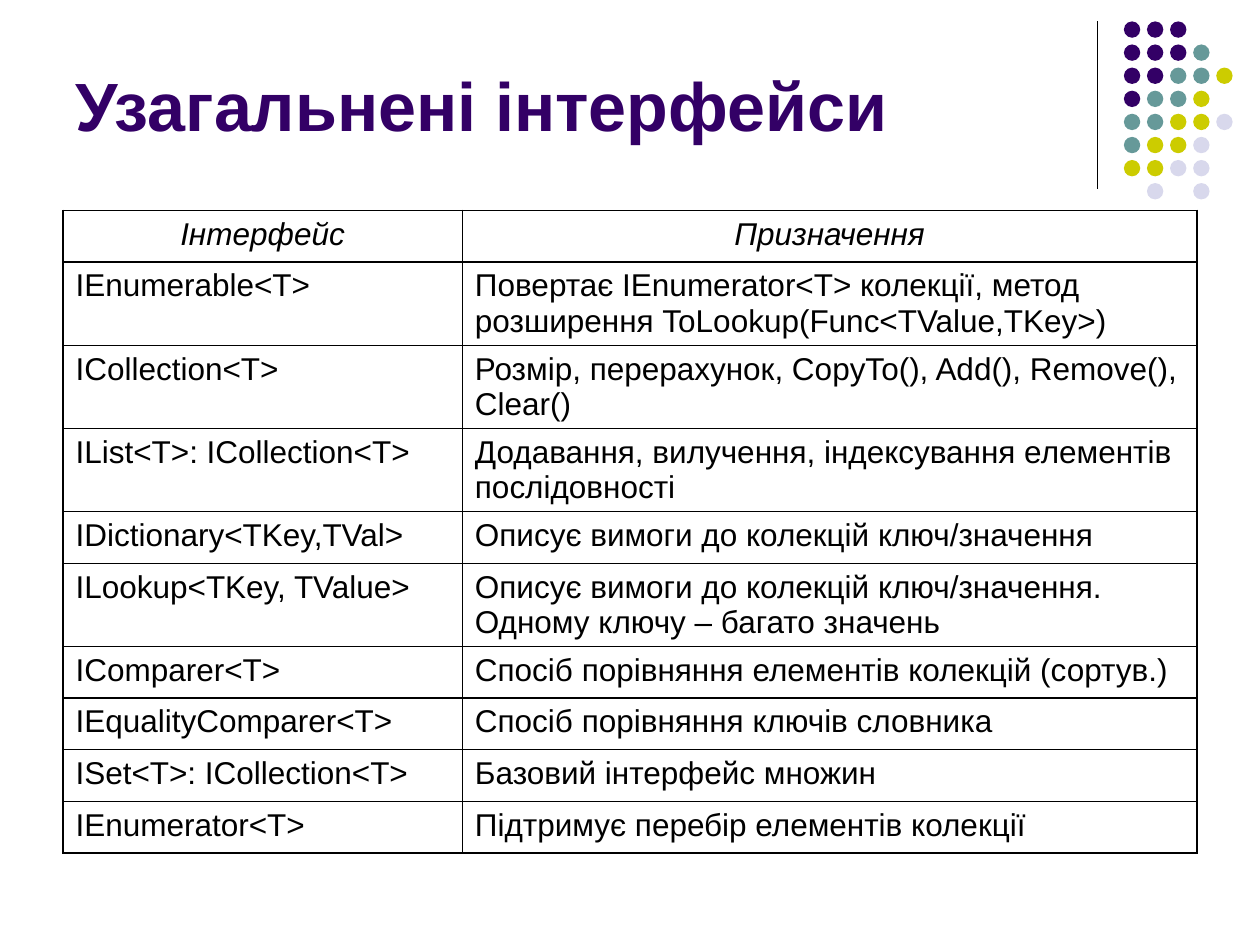
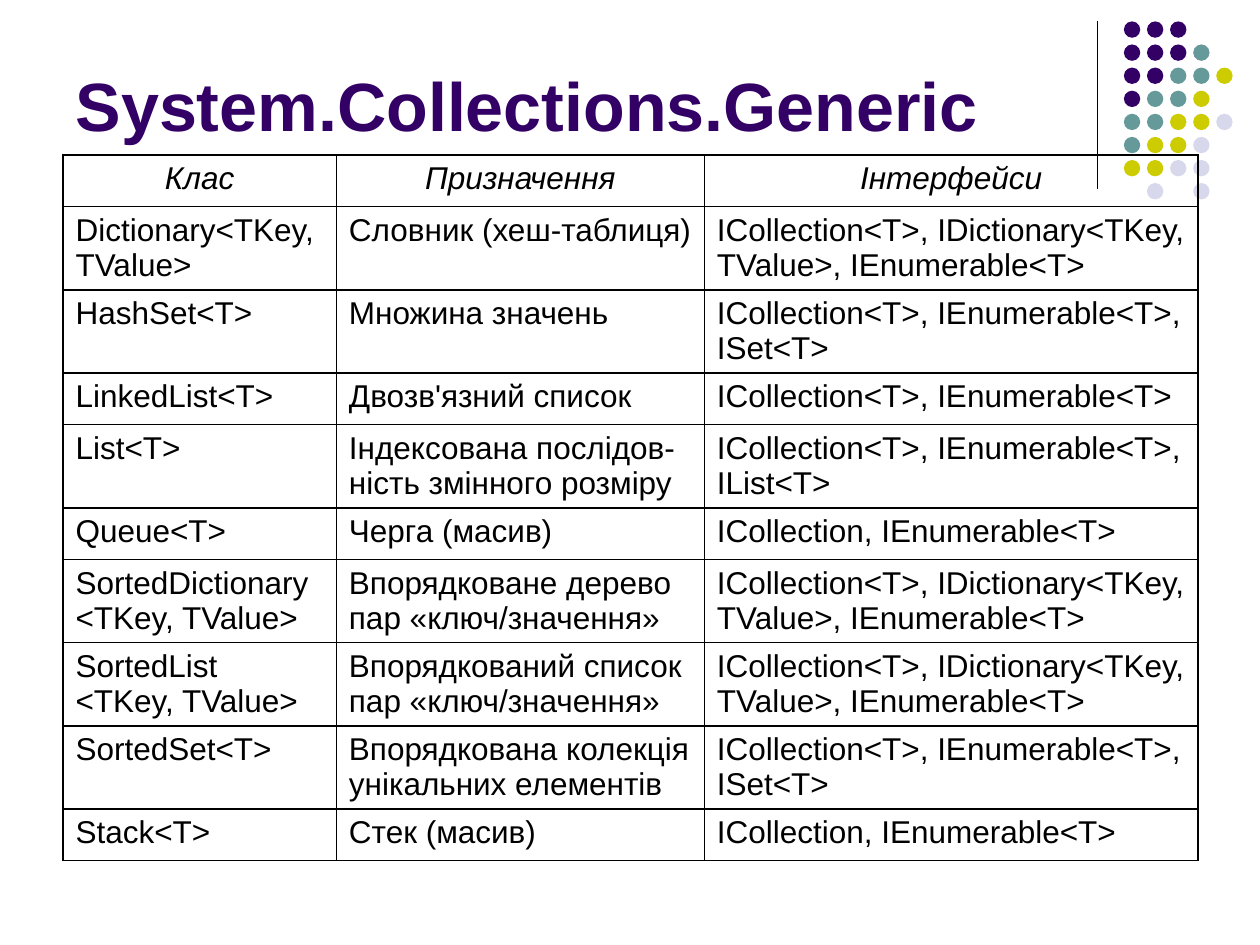
from dataclasses import dataclass

from lxml.etree import SubElement
from pptx import Presentation
from pptx.dml.color import RGBColor as RGB
from pptx.enum.shapes import MSO_CONNECTOR as CONN, MSO_SHAPE as SHAPE
from pptx.enum.text import MSO_ANCHOR as ANCHOR, MSO_AUTO_SIZE as AUTOSIZE, PP_ALIGN as ALIGN
from pptx.oxml import parse_xml
from pptx.oxml.ns import nsdecls, qn
from pptx.util import Inches, Pt


@dataclass(frozen=True)
class Theme:
    font: str = "Arial"
    title_size: int = 39
    body_size: int = 18
    ink: str = "000000"
    purple: str = "330066"
    teal: str = "669999"
    olive: str = "CCCC00"
    lilac: str = "D8D8EC"
    border: float = 1
    rule: float = 0.75


theme = Theme()
DOT_COLORS = {"P": theme.purple, "T": theme.teal, "O": theme.olive, "L": theme.lilac}
DOT_ROWS = ["PPP", "PPPT", "PPTTO", "PTTO", "TTOOL", "TOOL", "OOLL", " L L"]
DOT_SIZE = 0.13
DOT_STEP = 0.55 / 3

SLIDES = [
    {
        "title": "Узагальнені інтерфейси",
        "top": 1.67,
        "cols": [3.17, 5.83],
        "rows": [
            ["Інтерфейс", "Призначення"],
            ["IEnumerable<T>",
             "Повертає IEnumerator<T> колекції, метод\nрозширення ToLookup(Func<TValue,TKey>)"],
            ["ICollection<T>", "Розмір, перерахунок, CopyTo(), Add(), Remove(), Clear()"],
            ["IList<T>: ICollection<T>",
             "Додавання, вилучення, індексування елементів послідовності"],
            ["IDictionary<TKey,TVal>", "Описує вимоги до колекцій ключ/значення"],
            ["ILookup<TKey, TValue>",
             "Описує вимоги до колекцій ключ/значення. Одному ключу – багато значень"],
            ["IComparer<T>", "Спосіб порівняння елементів колекцій (сортув.)"],
            ["IEqualityComparer<T>", "Спосіб порівняння ключів словника"],
            ["ISet<T>: ICollection<T>", "Базовий інтерфейс множин"],
            ["IEnumerator<T>", "Підтримує перебір елементів колекції"],
        ],
    },
    {
        "title": "System.Collections.Generic",
        "top": 1.23,
        "cols": [2.17, 2.92, 3.92],
        "rows": [
            ["Клас", "Призначення", "Інтерфейси"],
            ["Dictionary<TKey, TValue>", "Словник (хеш-таблиця)",
             "ICollection<T>, IDictionary<TKey, TValue>, IEnumerable<T>"],
            ["HashSet<T>", "Множина значень", "ICollection<T>, IEnumerable<T>, ISet<T>"],
            ["LinkedList<T>", "Двозв'язний список", "ICollection<T>, IEnumerable<T>"],
            ["List<T>", "Індексована послідов-ність змінного розміру",
             "ICollection<T>, IEnumerable<T>, IList<T>"],
            ["Queue<T>", "Черга (масив)", "ICollection, IEnumerable<T>"],
            ["SortedDictionary <TKey, TValue>", "Впорядковане дерево пар «ключ/значення»",
             "ICollection<T>, IDictionary<TKey, TValue>, IEnumerable<T>"],
            ["SortedList <TKey, TValue>", "Впорядкований список пар «ключ/значення»",
             "ICollection<T>, IDictionary<TKey, TValue>, IEnumerable<T>"],
            ["SortedSet<T>", "Впорядкована колекція унікальних елементів",
             "ICollection<T>, IEnumerable<T>, ISet<T>"],
            ["Stack<T>", "Стек (масив)", "ICollection, IEnumerable<T>"],
        ],
    },
]


def style_text(tf, size, color, align, bold=False, italic=False):
    for p in tf.paragraphs:
        p.alignment = align
        for r in p.runs:
            r.font.name = theme.font
            r.font.size = Pt(size)
            r.font.color.rgb = RGB.from_string(color)
            r.font.bold = bold
            r.font.italic = italic


def outline_cell(cell):
    tc_pr = cell._tc.get_or_add_tcPr()
    for side in ("lnL", "lnR", "lnT", "lnB"):
        tc_pr.append(parse_xml(
            f'<a:{side} {nsdecls("a")} w="{Pt(theme.border)}"><a:solidFill>'
            f'<a:srgbClr val="{theme.ink}"/></a:solidFill></a:{side}>'))
    cell.fill.background()


prs = Presentation()
prs.slide_width, prs.slide_height = Inches(10), Inches(7.5)

for content in SLIDES:
    s = prs.slides.add_slide(prs.slide_layouts[5])

    # Corner decoration
    rule = s.shapes.add_connector(CONN.STRAIGHT, Inches(8.71), Inches(0.17),
                                  Inches(8.71), Inches(1.5))
    rule.line.color.rgb = RGB.from_string(theme.ink)
    rule.line.width = Pt(theme.rule)
    SubElement(rule._element.spPr, qn("a:effectLst"))
    dots = s.shapes.add_group_shape()
    for i, dot_row in enumerate(DOT_ROWS):
        for j, key in enumerate(dot_row):
            if key == " ":
                continue
            dot = dots.shapes.add_shape(
                SHAPE.OVAL, Inches(8.92 + j * DOT_STEP), Inches(0.17 + i * DOT_STEP),
                Inches(DOT_SIZE), Inches(DOT_SIZE))
            dot.shadow.inherit = False
            dot.fill.solid()
            dot.fill.fore_color.rgb = RGB.from_string(DOT_COLORS[key])
            dot.line.fill.background()

    # Title
    title = s.shapes.title
    title.left, title.top = Inches(0.5), Inches(0.33)
    title.width, title.height = Inches(8.25), Inches(0.87)
    tf = title.text_frame
    tf.text = content["title"]
    tf.auto_size = AUTOSIZE.NONE
    tf.vertical_anchor = ANCHOR.BOTTOM
    style_text(tf, theme.title_size, theme.purple, ALIGN.LEFT, bold=True)

    # Table
    rows, cols = content["rows"], content["cols"]
    table = s.shapes.add_table(len(rows), len(cols), Inches(0.5), Inches(content["top"]),
                               Inches(sum(cols)), Inches(0.41 * len(rows))).table
    table.first_row = table.horz_banding = False
    for column, width in zip(table.columns, cols):
        column.width = Inches(width)
    for i, row in enumerate(rows):
        is_header = i == 0
        for j, text in enumerate(row):
            cell = table.cell(i, j)
            cell.text_frame.text = text
            style_text(cell.text_frame, theme.body_size, theme.ink,
                       ALIGN.CENTER if is_header else ALIGN.LEFT, italic=is_header)
            outline_cell(cell)

prs.save("out.pptx")
